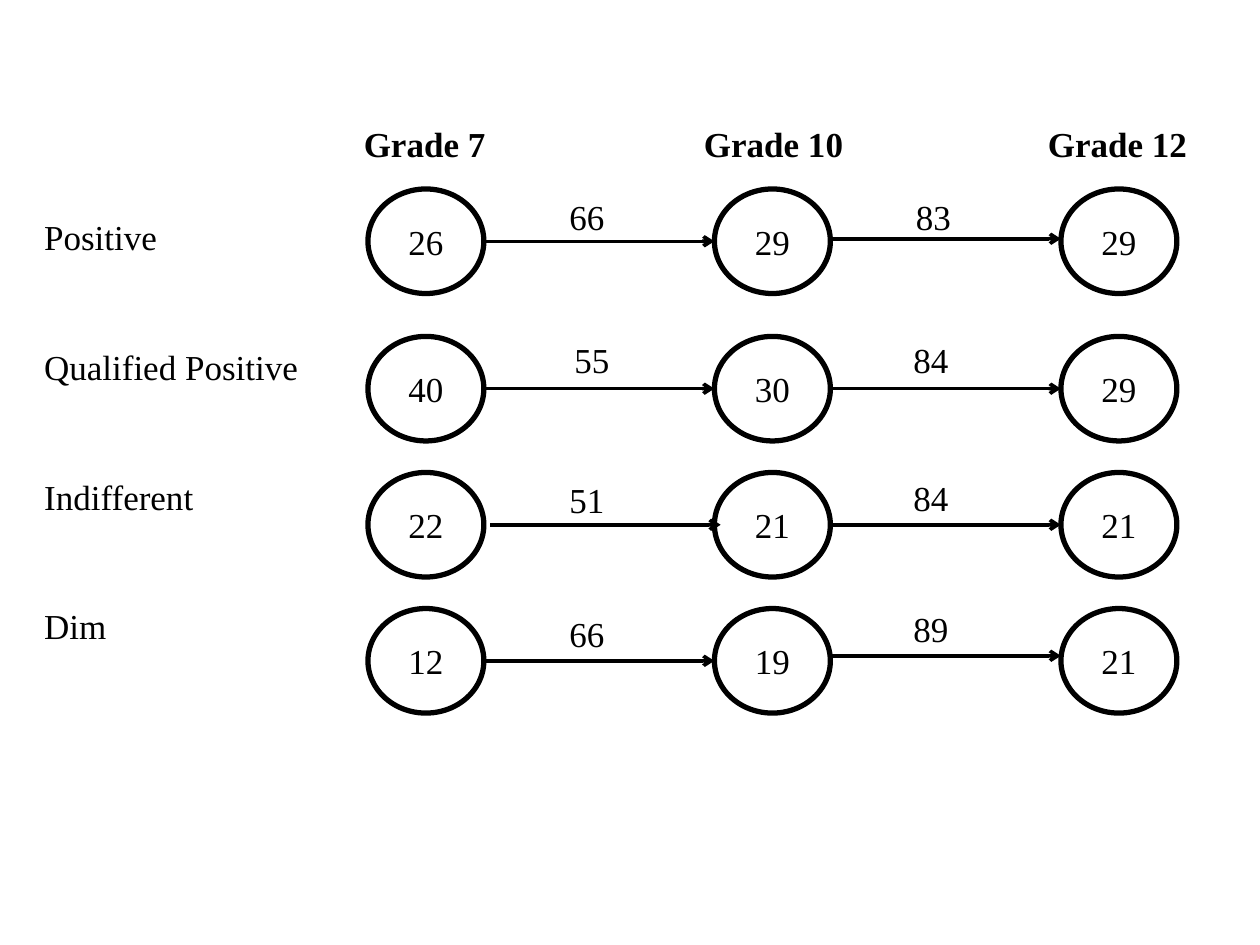
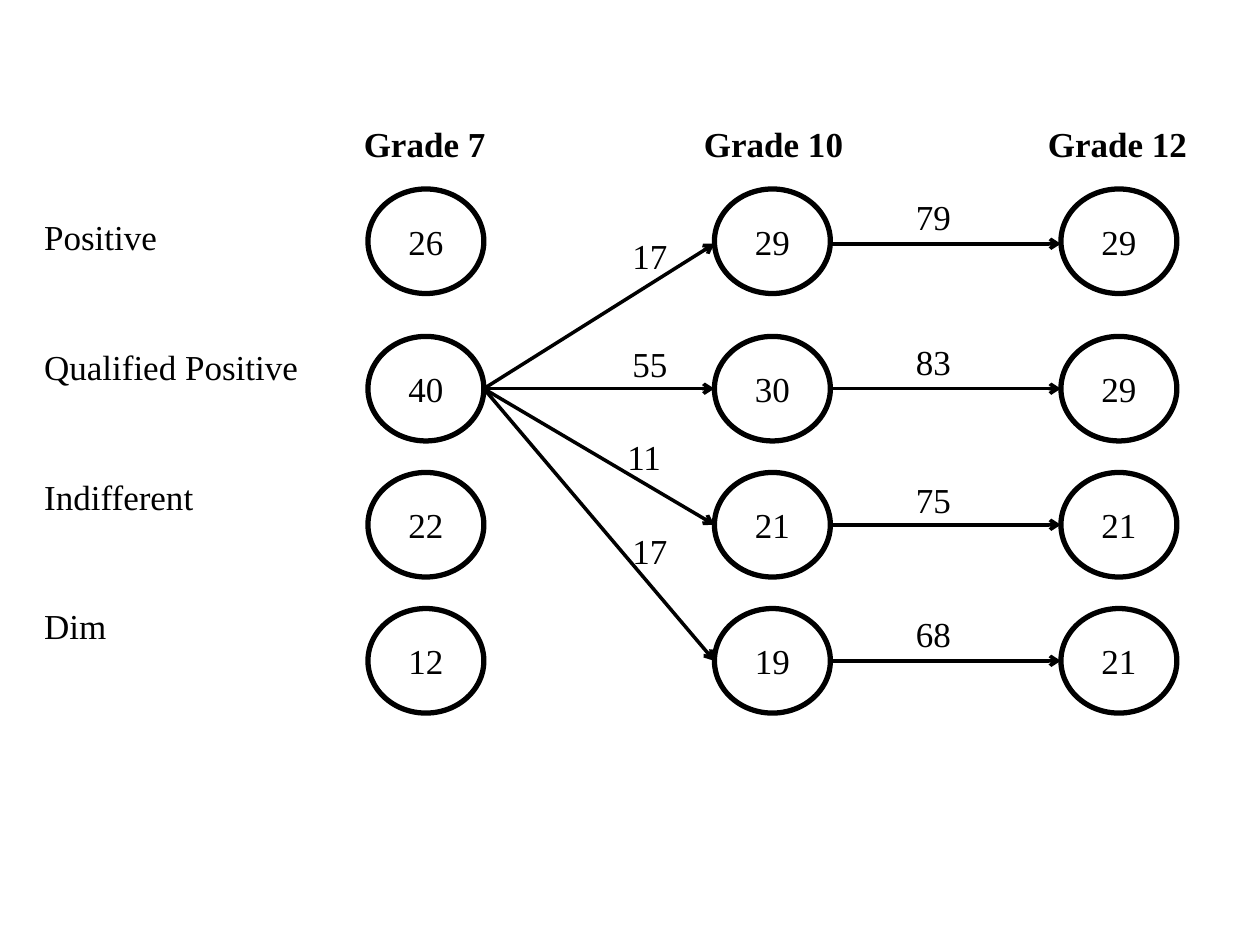
from pptx import Presentation
from pptx.dml.color import RGBColor
from pptx.enum.shapes import MSO_CONNECTOR, MSO_SHAPE
from pptx.enum.text import MSO_ANCHOR, PP_ALIGN
from pptx.oxml.ns import qn
from pptx.util import Inches, Pt
from lxml.etree import SubElement

# Content
GRADES = ["Grade 7", "Grade 10", "Grade 12"]
ATTITUDES = ["Positive", "Qualified Positive", "Indifferent", "Dim"]
SHARES = [(26, 29, 29), (40, 30, 29), (22, 21, 21), (12, 19, 21)]

# Flows: start grade, start row, end row, value, label (left, top), arrow shift
# The shift is (x, start y, end y).
NO_SHIFT = (0, 0, 0)
SLIDES = [
    [
        (0, 0, 0, "66", (4.42, 1.5), NO_SHIFT),
        (1, 0, 0, "83", (7.17, 1.5), (0, -0.02, -0.02)),
        (0, 1, 1, "55", (4.46, 2.64), NO_SHIFT),
        (1, 1, 1, "84", (7.15, 2.64), NO_SHIFT),
        (0, 2, 2, "51", (4.42, 3.75), (0.05, 0, 0)),
        (1, 2, 2, "84", (7.15, 3.73), NO_SHIFT),
        (0, 3, 3, "66", (4.42, 4.81), NO_SHIFT),
        (1, 3, 3, "89", (7.15, 4.77), (0, -0.04, -0.04)),
    ],
    [
        (0, 1, 0, "17", (4.92, 1.81), (0, 0, 0.02)),
        (0, 1, 1, "55", (4.92, 2.67), NO_SHIFT),
        (0, 1, 2, "11", (4.88, 3.41), NO_SHIFT),
        (0, 1, 3, "17", (4.92, 4.15), NO_SHIFT),
        (1, 0, 0, "79", (7.17, 1.5), (0, 0.02, 0.02)),
        (1, 1, 1, "83", (7.17, 2.65), NO_SHIFT),
        (1, 2, 2, "75", (7.17, 3.75), NO_SHIFT),
        (1, 3, 3, "68", (7.17, 4.81), NO_SHIFT),
    ],
]


# Theme and layout
class Theme:
    ink = RGBColor(0, 0, 0)
    font = {"name": "Times New Roman", "size": Pt(20), "bold": False}
    ring = Pt(3)
    arrow = Pt(2)


TABLE_LEFT, TABLE_TOP = 0.25, 0.95
COL_WIDTHS = [2.45, 1.34, 1.34, 1.52, 1.01, 1.92]
ROW_HEIGHTS = [0.42] + [1.03] * len(ATTITUDES)
NODE_W, NODE_H = 0.92, 0.83
NODE_X = [2.92 + 2.75 * i for i in range(len(GRADES))]
NODE_Y = [1.5, 2.67, 3.75, 4.83]
LABEL_SIZE = (0.58, 0.44)


def inches(*values):
    return [Inches(v) for v in values]


def write(tf, text, align=PP_ALIGN.LEFT, **changes):
    p = tf.paragraphs[0]
    p.alignment = align
    r = p.add_run()
    r.text = text
    for key, value in {**Theme.font, **changes}.items():
        setattr(r.font, key, value)
    r.font.color.rgb = Theme.ink


def add_grid(s):
    """Grade headings across the top, attitudes down the side."""
    frame = s.shapes.add_table(
        len(ROW_HEIGHTS), len(COL_WIDTHS),
        *inches(TABLE_LEFT, TABLE_TOP, sum(COL_WIDTHS), sum(ROW_HEIGHTS)))
    table = frame.table
    table.first_row = table.horz_banding = False
    for col, width in zip(table.columns, COL_WIDTHS):
        col.width = Inches(width)
    for row, height in zip(table.rows, ROW_HEIGHTS):
        row.height = Inches(height)
    for cell in table.iter_cells():
        cell.fill.background()
    for i, grade in enumerate(GRADES):
        write(table.cell(0, 2 * i + 1).text_frame, grade, PP_ALIGN.CENTER, bold=True)
    for i, attitude in enumerate(ATTITUDES, start=1):
        cell = table.cell(i, 0)
        cell.margin_top = Inches(0.37)
        write(cell.text_frame, attitude)


def add_node(s, x, y, share):
    sp = s.shapes.add_shape(MSO_SHAPE.OVAL, *inches(x, y, NODE_W, NODE_H))
    sp.shadow.inherit = False
    sp.fill.background()
    sp.line.color.rgb = Theme.ink
    sp.line.width = Theme.ring
    sp.text_frame.vertical_anchor = MSO_ANCHOR.MIDDLE
    write(sp.text_frame, str(share), PP_ALIGN.CENTER)


def add_flow(s, grade, start, end, value, label_at, shift):
    # Arrow from the right of one circle to the left of the next
    dx, dy_start, dy_end = shift
    cx = s.shapes.add_connector(MSO_CONNECTOR.STRAIGHT, *inches(
        NODE_X[grade] + NODE_W + dx, NODE_Y[start] + NODE_H / 2 + dy_start,
        NODE_X[grade + 1] + dx, NODE_Y[end] + NODE_H / 2 + dy_end))
    cx.line.color.rgb = Theme.ink
    cx.line.width = Theme.arrow
    SubElement(cx.line._get_or_add_ln(), qn("a:tailEnd"), type="arrow")
    SubElement(cx._element.spPr, qn("a:effectLst"))
    # Value beside the arrow
    tf = s.shapes.add_textbox(*inches(*label_at, *LABEL_SIZE)).text_frame
    tf.word_wrap = True
    write(tf, value)


def main():
    prs = Presentation()
    prs.slide_width, prs.slide_height = inches(10, 7.5)
    for flows in SLIDES:
        s = prs.slides.add_slide(prs.slide_layouts[6])
        add_grid(s)
        for y, shares in zip(NODE_Y, SHARES):
            for x, share in zip(NODE_X, shares):
                add_node(s, x, y, share)
        for flow in flows:
            add_flow(s, *flow)
    prs.save("out.pptx")


if __name__ == "__main__":
    main()
